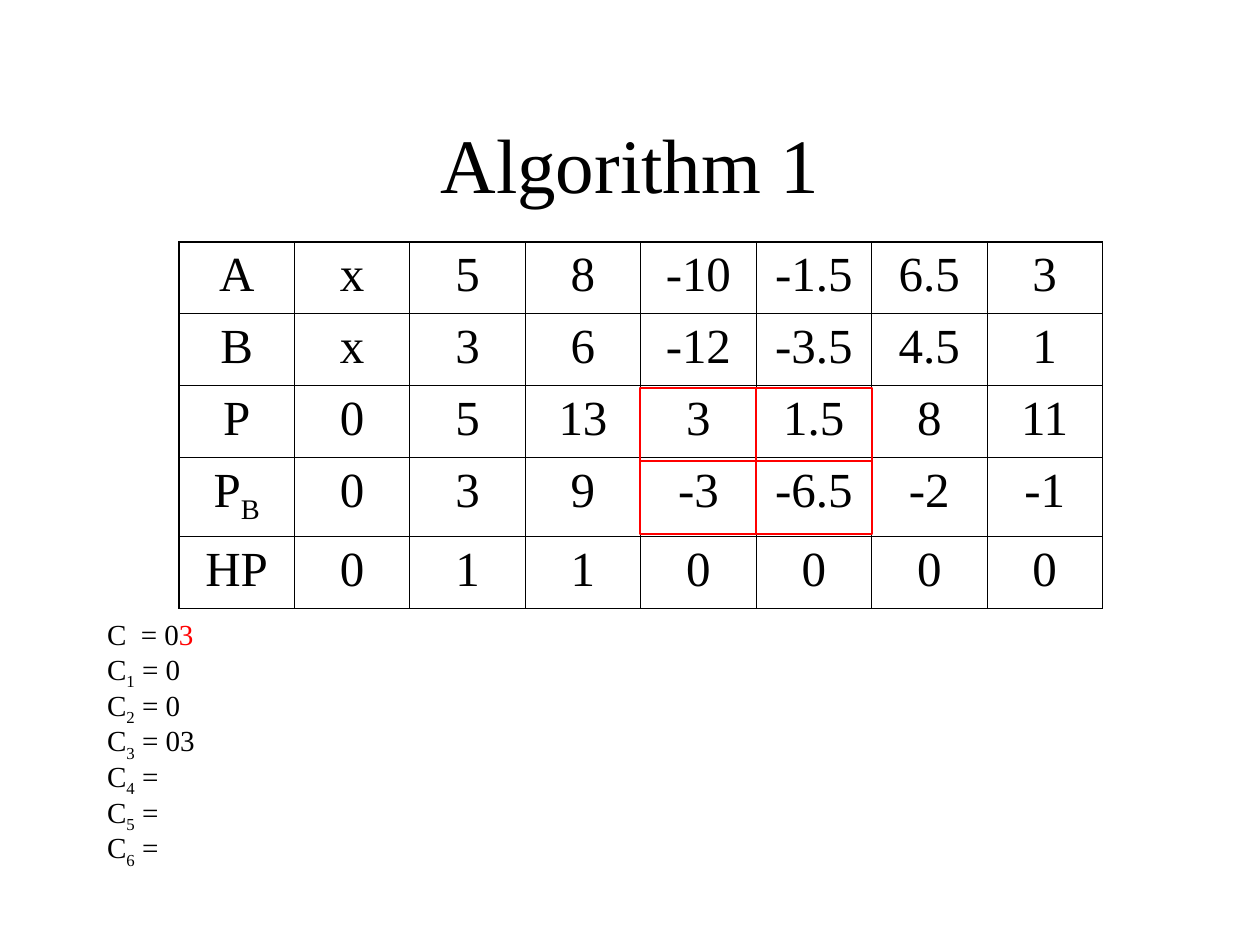
"""Build the Algorithm 1 slide: a table of running values, highlighted cells and the candidate lists."""
from dataclasses import dataclass
from itertools import product

from lxml.etree import SubElement
from pptx import Presentation
from pptx.dml.color import RGBColor
from pptx.enum.shapes import MSO_SHAPE as Shape
from pptx.enum.text import MSO_ANCHOR as Anchor, MSO_AUTO_SIZE as AutoSize, PP_ALIGN as Align
from pptx.oxml.ns import qn
from pptx.util import Inches, Pt

BLACK = RGBColor(0x00, 0x00, 0x00)
RED = RGBColor(0xFF, 0x00, 0x00)
TYPEFACE = "Times New Roman"
TITLE_SIZE, TABLE_SIZE, LIST_SIZE = 44, 28, 16.6
OUTER_LINE, INNER_LINE = 1.08, 0.45

TABLE_LEFT, TABLE_TOP, TABLE_WIDTH = 1.42, 1.92, 7.33
ROW_HEIGHTS = [0.57, 0.57, 0.57, 0.63, 0.57]
BOX_WIDTH, BOX_HEIGHT = 0.92, 0.58
BOX_LEFT, BOX_TOP = 5.08, 3.08


@dataclass(frozen=True)
class Piece:
    text: str
    color: RGBColor = BLACK
    subscript: bool = False


VALUES = [
    ([Piece("A")], "x 5 8 -10 -1.5 6.5 3"),
    ([Piece("B")], "x 3 6 -12 -3.5 4.5 1"),
    ([Piece("P")], "0 5 13 3 1.5 8 11"),
    ([Piece("P"), Piece("B", subscript=True)], "0 3 9 -3 -6.5 -2 -1"),
    ([Piece("HP")], "0 1 1 0 0 0 0"),
]
CANDIDATES = [[Piece("C  = 0"), Piece("3", RED)]] + [
    [Piece("C"), Piece(str(number), subscript=True), Piece(f" = {found}".rstrip())]
    for number, found in enumerate(["0", "0", "03", "", "", ""], start=1)
]


def apply(target, values: dict) -> None:
    for name, value in values.items():
        setattr(target, name, value)


def write(paragraph, pieces: list[Piece], size: float) -> None:
    for piece in pieces:
        run = paragraph.add_run()
        run.text = piece.text
        apply(run.font, {"name": TYPEFACE, "size": Pt(size)})
        run.font.color.rgb = piece.color
        if piece.subscript:
            run._r.get_or_add_rPr().set("baseline", "-25000")


def place(shape, left: float, top: float, width: float, height: float) -> None:
    apply(shape, {"left": Inches(left), "top": Inches(top),
                  "width": Inches(width), "height": Inches(height)})


def add_borders(cell, widths: dict[str, float]) -> None:
    properties = cell._tc.get_or_add_tcPr()
    for side, width in widths.items():
        line = SubElement(properties, qn(f"a:ln{side}"), w=str(Pt(width)))
        SubElement(SubElement(line, qn("a:solidFill")), qn("a:srgbClr"), val=str(BLACK))


def add_title(slide) -> None:
    title = slide.shapes.title
    place(title, 0.75, 0.67, 8.5, 1.25)
    apply(title.text_frame, {"vertical_anchor": Anchor.MIDDLE, "auto_size": AutoSize.NONE})
    heading = title.text_frame.paragraphs[0]
    heading.alignment = Align.CENTER
    write(heading, [Piece("Algorithm 1")], TITLE_SIZE)


def add_candidates(slide) -> None:
    body = slide.placeholders[1]
    place(body, 0.75, 4.92, 8.5, 2.17)
    frame = body.text_frame
    apply(frame, {"vertical_anchor": Anchor.TOP, "auto_size": AutoSize.NONE})
    for index, pieces in enumerate(CANDIDATES):
        entry = frame.add_paragraph() if index else frame.paragraphs[0]
        properties = entry._p.get_or_add_pPr()
        properties.set("marL", str(Inches(0.38)))
        properties.set("indent", str(Inches(-0.38)))
        SubElement(properties, qn("a:buNone"))
        apply(entry, {"alignment": Align.LEFT, "line_spacing": 0.7,
                      "space_before": Pt(4.5 if index else 0)})
        write(entry, pieces, LIST_SIZE)


def add_values(slide) -> None:
    rows = [[label] + [[Piece(value)] for value in values.split()] for label, values in VALUES]
    last_row, last_column = len(rows) - 1, len(rows[0]) - 1
    table = slide.shapes.add_table(
        len(rows), len(rows[0]), Inches(TABLE_LEFT), Inches(TABLE_TOP),
        Inches(TABLE_WIDTH), Inches(sum(ROW_HEIGHTS))).table
    apply(table, {"first_row": False, "horz_banding": False})
    for r, height in enumerate(ROW_HEIGHTS):
        table.rows[r].height = Inches(height)
        for c, pieces in enumerate(rows[r]):
            cell = table.cell(r, c)
            outer = {"L": c == 0, "R": c == last_column, "T": r == 0, "B": r == last_row}
            add_borders(cell, {side: OUTER_LINE if edge else INNER_LINE
                               for side, edge in outer.items()})
            cell.fill.background()
            entry = cell.text_frame.paragraphs[0]
            entry.alignment = Align.CENTER
            write(entry, pieces, TABLE_SIZE)


def add_highlights(slide) -> None:
    for row, column in product((1, 0), (0, 1)):
        box = slide.shapes.add_shape(
            Shape.RECTANGLE, Inches(BOX_LEFT + column * BOX_WIDTH),
            Inches(BOX_TOP + row * BOX_HEIGHT), Inches(BOX_WIDTH), Inches(BOX_HEIGHT))
        box.shadow.inherit = False
        box.fill.background()
        box.line.color.rgb = RED
        box.line.width = Pt(1.5)


def main() -> None:
    deck = Presentation()
    apply(deck, {"slide_width": Inches(10), "slide_height": Inches(7.5)})
    slide = deck.slides.add_slide(deck.slide_layouts[1])
    for draw in (add_title, add_candidates, add_values, add_highlights):
        draw(slide)
    deck.save("out.pptx")


if __name__ == "__main__":
    main()
